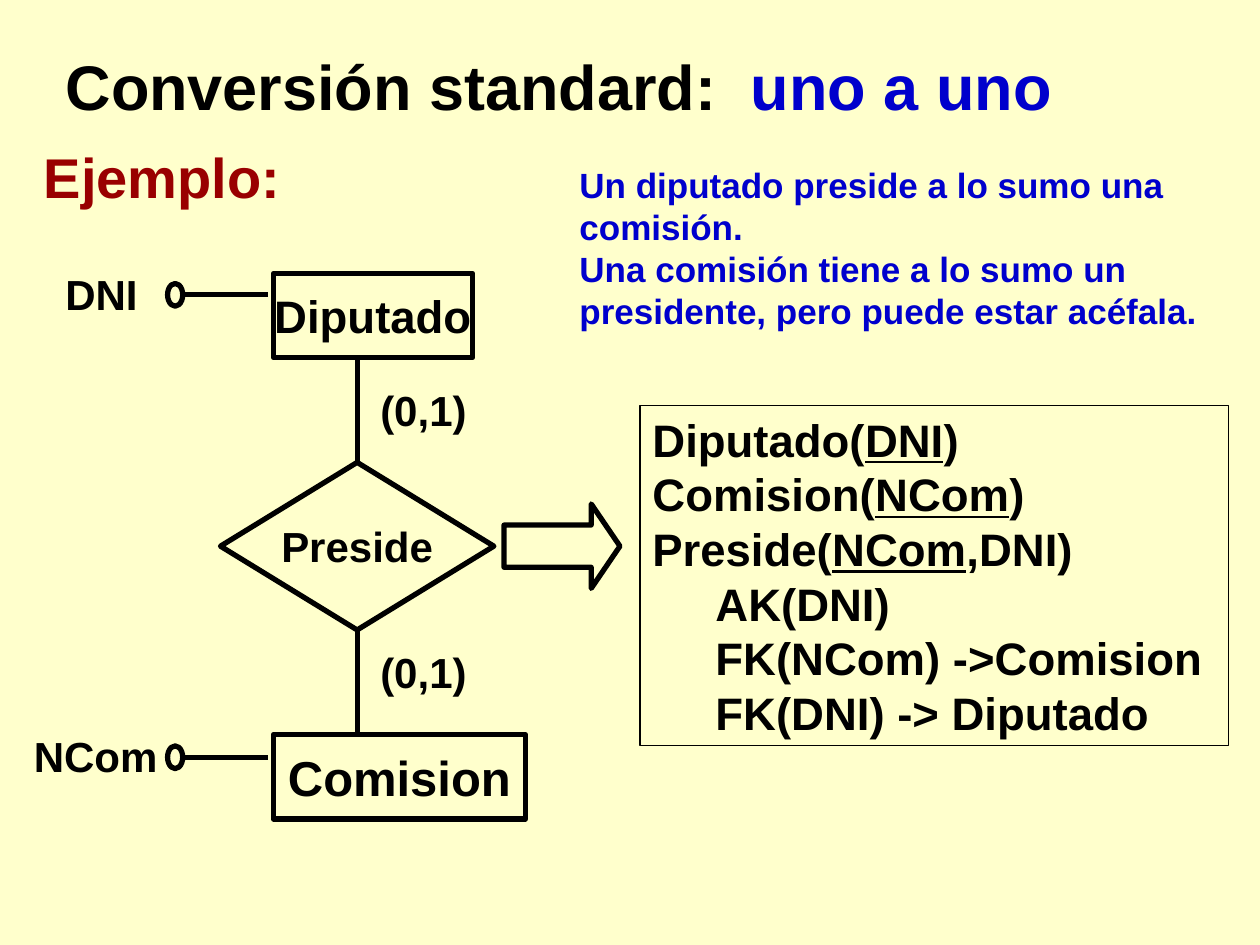
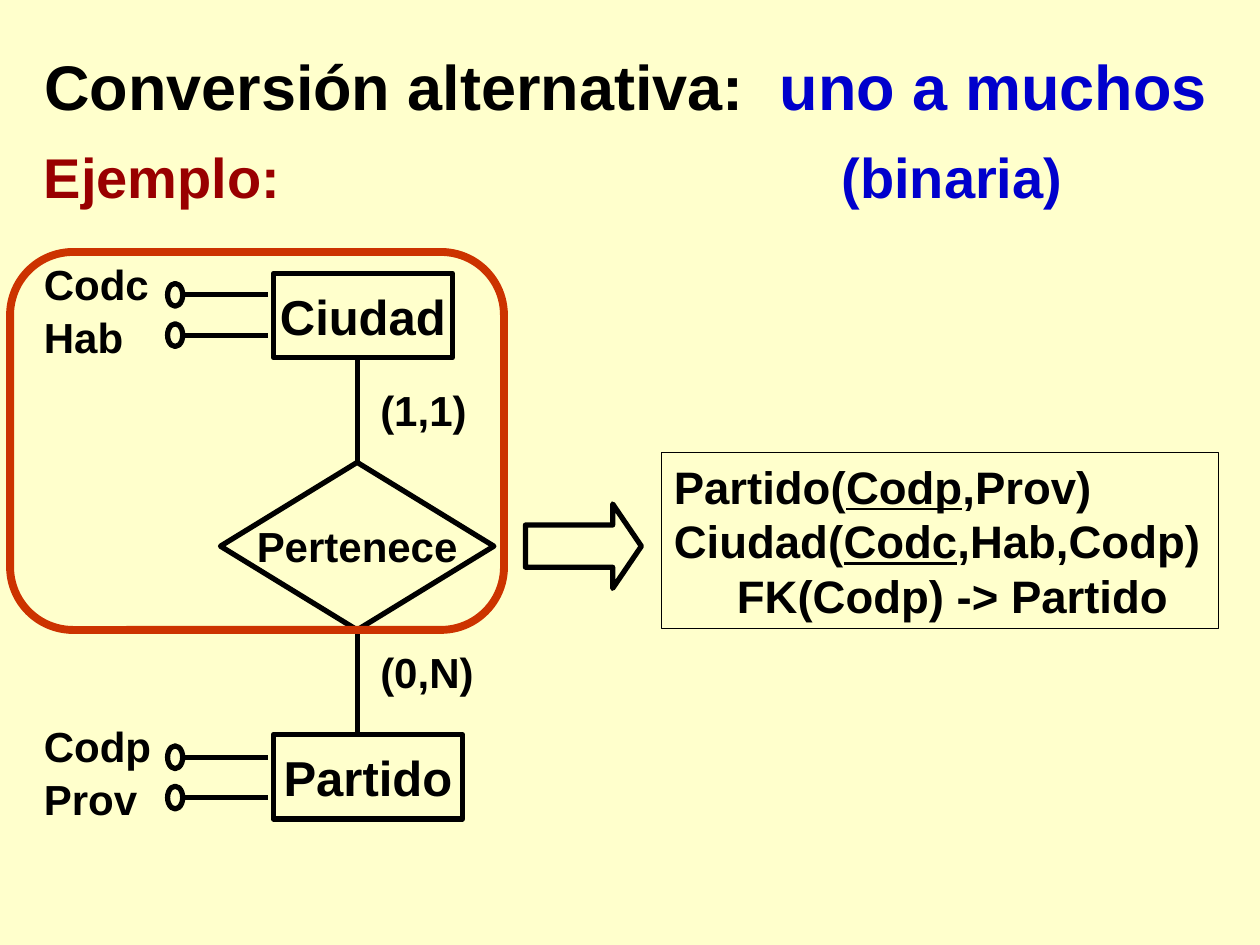
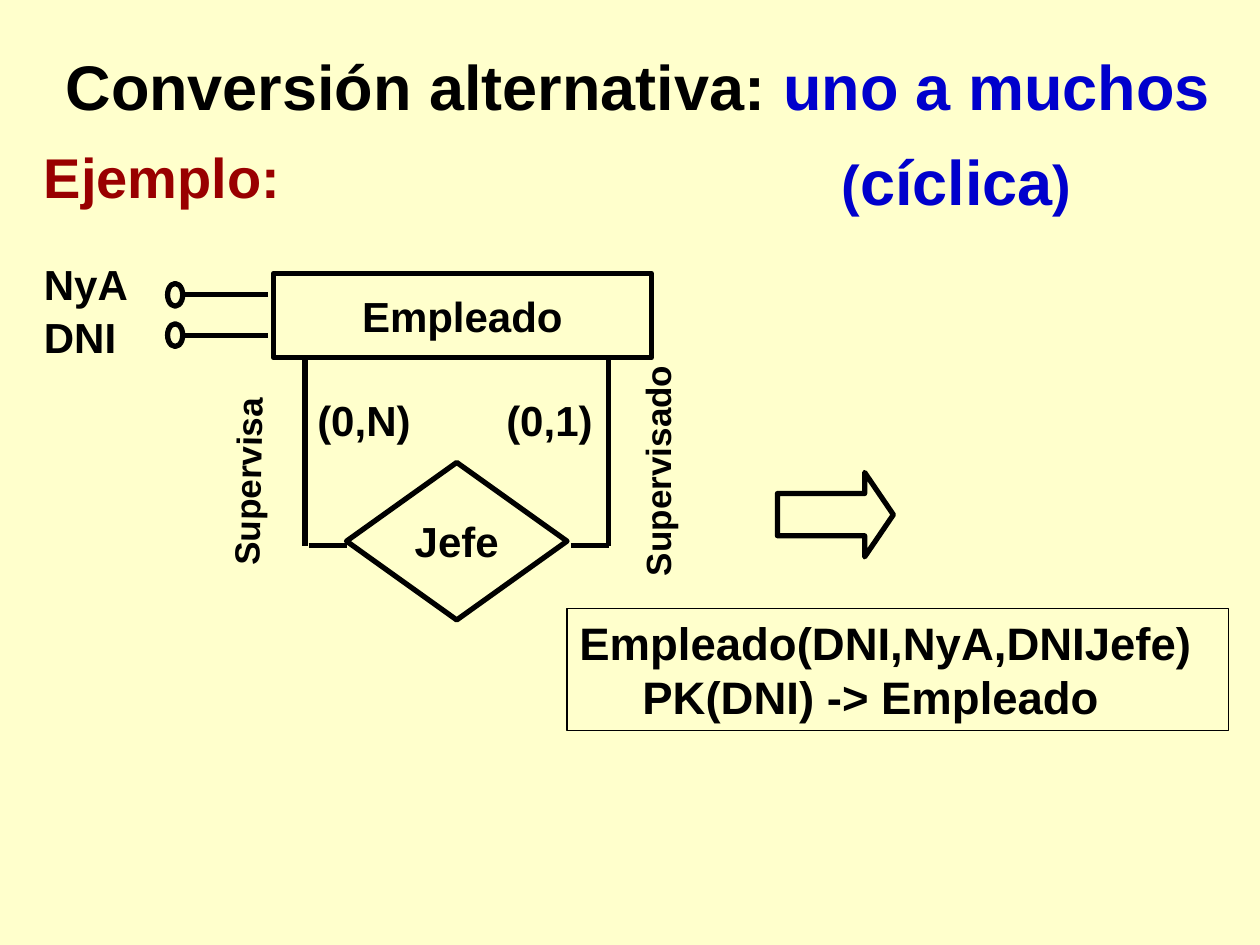
from dataclasses import dataclass
from typing import NamedTuple

from pptx import Presentation
from pptx import util as u
from pptx.dml import color
from pptx.enum import shapes, text
from pptx.oxml.ns import qn

FONT = "Arial"
PAPER, BLACK, BLUE, RED, ORANGE = "FFFFCC", "000000", "0000CC", "990000", "CC3300"
SHAPE = shapes.MSO_SHAPE
TITLE_SIZE, HEADING_SIZE, SCHEMA_SIZE, LABEL_SIZE, NOTE_SIZE = 36, 32, 26, 24, 20
PIN_X, PIN_W, PIN_H, PIN_END = 1.33, 0.12, 0.18, 2.13
ENTITY_X, ENTITY_H = 2.17, 0.67
TOP_ENTITY_Y, LOW_ENTITY_Y = 2.17, 5.83


class Run(NamedTuple):
    text: str
    color: str = BLACK
    size: float = LABEL_SIZE
    underline: bool = False


class Box(NamedTuple):
    left: float
    top: float
    width: float
    height: float


class Line(NamedTuple):
    text: str
    indented: bool = False


@dataclass
class Entity:
    name: str
    width: float
    size: float = 28


@dataclass
class Attribute:
    label: str
    left: float
    top: float
    pin_top: float
    width: float = 1.17


def rgb(value: str) -> color.RGBColor:
    return color.RGBColor.from_string(value)


def inches(values) -> list:
    return [u.Inches(v) for v in values]


def add_runs(p, runs: list[Run]) -> None:
    for run in runs:
        r = p.add_run()
        r.text = run.text
        r.font.name, r.font.size, r.font.bold = FONT, u.Pt(run.size), True
        r.font.color.rgb = rgb(run.color)
        if run.underline:
            r.font.underline = True


def fill_text(tf, paragraphs: list[list[Run]], align=text.PP_ALIGN.LEFT) -> None:
    for i, runs in enumerate(paragraphs):
        p = tf.add_paragraph() if i else tf.paragraphs[0]
        p.alignment = align
        add_runs(p, runs)


def add_title(s, left: float, width: float, black: str, blue: str, tab: float = 0) -> None:
    sp = s.shapes.title
    sp.left, sp.top, sp.width, sp.height = inches((left, 0.33, width, 0.7))
    tf = sp.text_frame
    tf.word_wrap, tf.auto_size = True, text.MSO_AUTO_SIZE.NONE
    tf.vertical_anchor = text.MSO_ANCHOR.TOP
    if tab:
        tabs = tf.paragraphs[0]._p.get_or_add_pPr().makeelement(qn("a:tabLst"), {})
        tabs.append(tabs.makeelement(qn("a:tab"), {"pos": str(u.Inches(tab)), "algn": "l"}))
        tf.paragraphs[0]._p.get_or_add_pPr().append(tabs)
    gap = "\t" if tab else " "
    fill_text(tf, [[Run(black + gap, BLACK, TITLE_SIZE), Run(blue, BLUE, TITLE_SIZE)]])


def add_text(s, box: Box, *paragraphs: list[Run], rotation: float = 0) -> None:
    sp = s.shapes.add_textbox(*inches(box))
    sp.rotation = rotation
    tf = sp.text_frame
    tf.word_wrap, tf.auto_size = True, text.MSO_AUTO_SIZE.SHAPE_TO_FIT_TEXT
    fill_text(tf, list(paragraphs))


def add_outline(parent, kind, box: Box, line: str = BLACK, weight: float = 3):
    sp = parent.shapes.add_shape(kind, *inches(box))
    sp.shadow.inherit = False
    sp.fill.background()
    sp.line.color.rgb = rgb(line)
    sp.line.width = u.Pt(weight)
    return sp


def add_named(s, kind, box: Box, name: str, size: float = LABEL_SIZE):
    sp = add_outline(s, kind, box)
    tf = sp.text_frame
    tf.word_wrap, tf.vertical_anchor = False, text.MSO_ANCHOR.MIDDLE
    fill_text(tf, [[Run(name, BLACK, size)]], text.PP_ALIGN.CENTER)
    return sp


def add_line(parent, x1: float, y1: float, x2: float, y2: float):
    cx = parent.shapes.add_connector(shapes.MSO_CONNECTOR.STRAIGHT, *inches((x1, y1, x2, y2)))
    cx.line.color.rgb = rgb(BLACK)
    cx.line.width = u.Pt(3)
    pr = cx._element.spPr
    pr.append(pr.makeelement(qn("a:effectLst"), {}))
    return cx


def add_entity(s, entity: Entity, top: float) -> None:
    add_named(s, SHAPE.RECTANGLE, Box(ENTITY_X, top, entity.width, ENTITY_H), entity.name, entity.size)


def add_attribute(s, a: Attribute) -> None:
    add_text(s, Box(a.left, a.top, a.width, 0.5), [Run(a.label)])
    pin = s.shapes.add_group_shape()
    y = a.pin_top + PIN_H / 2
    add_line(pin, PIN_X + PIN_W, y, PIN_END, y)
    add_outline(pin, SHAPE.OVAL, Box(PIN_X, a.pin_top, PIN_W, PIN_H))


def add_attribute_pair(s, labels: tuple[str, str], top: float) -> None:
    for i, label in enumerate(labels):
        add_attribute(s, Attribute(label, 0.25, top + 0.42 * i, top + 0.25 + 0.32 * i))


def add_cardinality(s, left: float, top: float, label: str) -> None:
    add_text(s, Box(left, top, 1, 0.5), [Run(label)])


def add_binary(s, upper: Entity, relation: str, lower: Entity, cards: tuple[str, str]) -> None:
    add_entity(s, upper, TOP_ENTITY_Y)
    add_entity(s, lower, LOW_ENTITY_Y)
    box = Box(1.75, 3.67, 2.17, 1.33)
    diamond = add_named(s, SHAPE.DIAMOND, box, relation)
    x = box.left + box.width / 2
    ends = ((0, box.top, TOP_ENTITY_Y + ENTITY_H), (2, box.top + box.height, LOW_ENTITY_Y))
    for site, start, end in ends:
        add_line(s, x, start, x, end).begin_connect(diamond, site)
    for top, card in zip((3, 5.08), cards):
        add_cardinality(s, 2.92, top, card)


def add_arrow(s, left: float, top: float) -> None:
    sp = add_outline(s, SHAPE.RIGHT_ARROW, Box(left, top, 0.92, 0.67))
    sp.adjustments[0], sp.adjustments[1] = 0.5, 0.34


def add_schema(s, box: Box, lines: list[Line]) -> None:
    sp = add_outline(s, SHAPE.RECTANGLE, box, weight=0.75)
    tf = sp.text_frame
    tf.word_wrap, tf.vertical_anchor = True, text.MSO_ANCHOR.TOP
    tf.auto_size = text.MSO_AUTO_SIZE.SHAPE_TO_FIT_TEXT
    fill_text(tf, [
        [Run(part, BLACK, SCHEMA_SIZE, i % 2 == 1) for i, part in enumerate(line.text.split("_"))]
        for line in lines
    ])
    for p, line in zip(tf.paragraphs, lines):
        if line.indented:
            p._p.get_or_add_pPr().set("marL", str(u.Inches(0.5)))


def add_example_slide(prs):
    s = prs.slides.add_slide(prs.slide_layouts[5])
    add_text(s, Box(0.25, 1.08, 2.17, 0.64), [Run("Ejemplo:", RED, HEADING_SIZE)])
    return s


def one_to_one(prs) -> None:
    s = add_example_slide(prs)
    add_title(s, 0.42, 9.08, "Conversión standard:", "uno a uno", tab=5.44)
    add_binary(s, Entity("Diputado", 1.58, 26), "Preside", Entity("Comision", 2), ("(0,1)", "(0,1)"))
    add_attribute(s, Attribute("DNI", 0.42, 2.08, 2.25))
    add_attribute(s, Attribute("NCom", 0.17, 5.75, 5.92, 1.33))
    add_arrow(s, 4, 4)
    add_schema(s, Box(5.08, 3.22, 4.67, 2.7), [
        Line("Diputado(_DNI_)"),
        Line("Comision(_NCom_)"),
        Line("Preside(_NCom_,DNI)"),
        Line("AK(DNI)", True),
        Line("FK(NCom) ->Comision", True),
        Line("FK(DNI) -> Diputado", True),
    ])
    add_text(
        s, Box(4.5, 1.25, 5.25, 1.44),
        [Run("Un diputado preside a lo sumo una comisión.", BLUE, NOTE_SIZE)],
        [Run("Una comisión tiene a lo sumo un presidente, pero puede estar acéfala.", BLUE, NOTE_SIZE)],
    )


def one_to_many_binary(prs) -> None:
    s = add_example_slide(prs)
    add_title(s, 0.25, 9.75, "Conversión alternativa:", "uno a muchos", tab=5.84)
    add_text(s, Box(6.58, 1.08, 2.25, 0.64), [Run("(binaria)", BLUE, HEADING_SIZE)])
    add_binary(s, Entity("Ciudad", 1.42), "Pertenece", Entity("Partido", 1.5), ("(1,1)", "(0,N)"))
    add_attribute_pair(s, ("Codc", "Hab"), 2)
    add_attribute_pair(s, ("Codp", "Prov"), 5.67)
    add_arrow(s, 4.17, 4)
    add_schema(s, Box(5.25, 3.59, 4.42, 1.4), [
        Line("Partido(_Codp_,Prov)"),
        Line("Ciudad(_Codc_,Hab,Codp)"),
        Line("FK(Codp) -> Partido", True),
    ])
    add_outline(s, SHAPE.ROUNDED_RECTANGLE, Box(0.08, 2, 3.92, 3), ORANGE, 4.5)


def one_to_many_cyclic(prs) -> None:
    s = add_example_slide(prs)
    add_title(s, 0.42, 9.58, "Conversión alternativa:", "uno a muchos")
    add_text(s, Box(6.58, 1.08, 2.25, 0.7), [
        Run("(", BLUE, HEADING_SIZE), Run("cíclica", BLUE, TITLE_SIZE), Run(")", BLUE, HEADING_SIZE),
    ])
    add_entity(s, Entity("Empleado", 3, LABEL_SIZE), TOP_ENTITY_Y)
    add_attribute_pair(s, ("NyA", "DNI"), 2)
    add_named(s, SHAPE.DIAMOND, Box(2.75, 3.67, 1.75, 1.25), "Jefe")
    for x, start, end in ((2.42, 2.45, 2.75), (4.83, 4.53, 4.83)):
        add_line(s, x, 4.33, x, TOP_ENTITY_Y + ENTITY_H)
        add_line(s, start, 4.33, end, 4.33)
    for left, card in ((2.42, "(0,N)"), (3.92, "(0,1)")):
        add_cardinality(s, left, 3.08, card)
    add_text(s, Box(1.13, 3.53, 1.67, 0.44), [Run("Supervisa", BLACK, NOTE_SIZE)], rotation=271.1)
    add_text(s, Box(4.26, 3.49, 1.92, 0.44), [Run("Supervisado", BLACK, NOTE_SIZE)], rotation=270)
    add_arrow(s, 6.17, 3.75)
    add_schema(s, Box(4.5, 4.83, 5.25, 0.97), [
        Line("Empleado(DNI,NyA,DNIJefe)"),
        Line("PK(DNI) -> Empleado", True),
    ])


def main() -> None:
    prs = Presentation()
    prs.slide_width, prs.slide_height = inches((10, 7.5))
    fill = prs.slide_master.background.fill
    fill.solid()
    fill.fore_color.rgb = rgb(PAPER)
    one_to_one(prs)
    one_to_many_binary(prs)
    one_to_many_cyclic(prs)
    prs.save("out.pptx")


if __name__ == "__main__":
    main()
